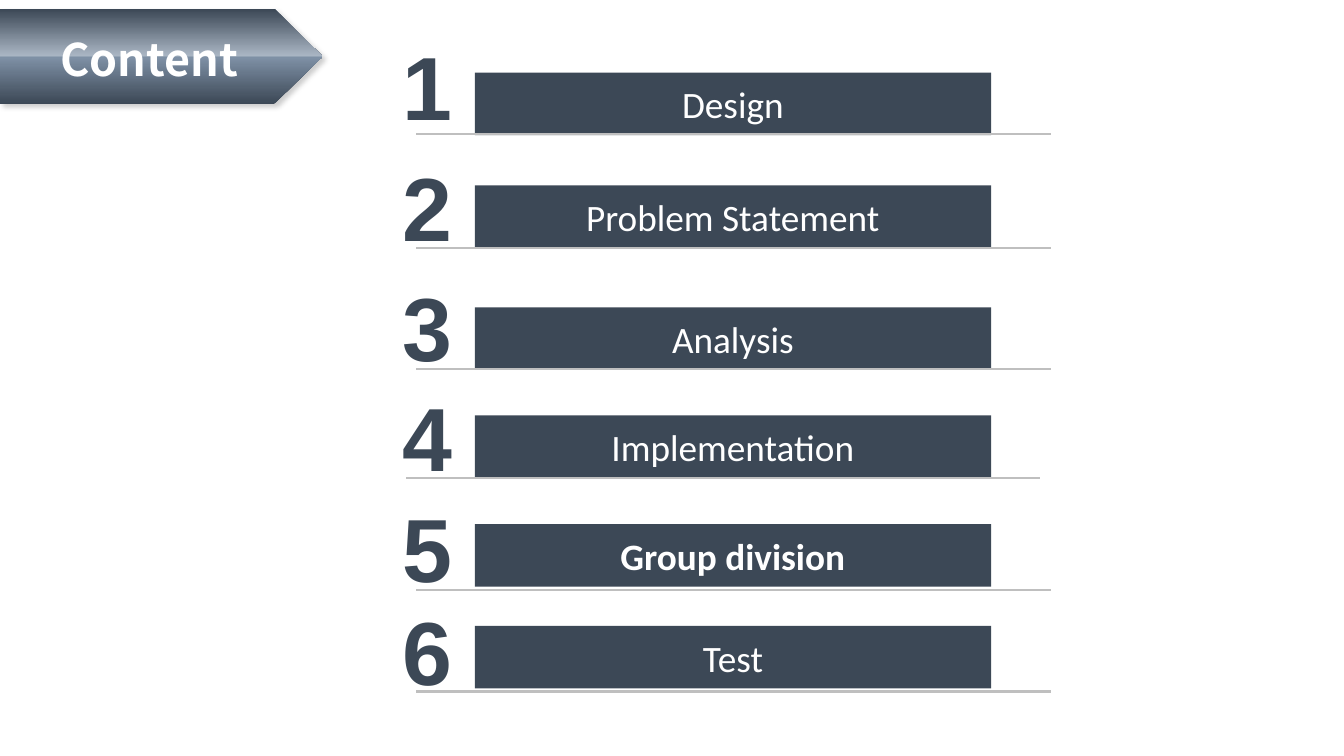
from dataclasses import dataclass

from lxml import etree
from pptx import Presentation
from pptx.dml.color import RGBColor
from pptx.enum.shapes import MSO_CONNECTOR, MSO_SHAPE
from pptx.enum.text import MSO_ANCHOR, MSO_AUTO_SIZE, PP_ALIGN
from pptx.oxml.ns import qn
from pptx.slide import Slide
from pptx.text.text import TextFrame
from pptx.util import Inches, Pt

STRAIGHT = MSO_CONNECTOR.STRAIGHT
RECTANGLE = MSO_SHAPE.RECTANGLE
MIDDLE = MSO_ANCHOR.MIDDLE
FIT_SHAPE = MSO_AUTO_SIZE.SHAPE_TO_FIT_TEXT
NO_FIT = MSO_AUTO_SIZE.NONE
CENTER = PP_ALIGN.CENTER
LEFT = PP_ALIGN.LEFT

SLATE = RGBColor(0x3C, 0x48, 0x56)
STEEL = RGBColor(0x7E, 0x90, 0xA5)
MIST = RGBColor(0xA9, 0xB5, 0xC3)
RULE_GRAY = RGBColor(0xBF, 0xBF, 0xBF)
WHITE = RGBColor(0xFF, 0xFF, 0xFF)
BLACK = RGBColor(0, 0, 0)

BANNER_POINTS = [(0, 0.09), (2.72, 0.09), (3.2, 0.56), (2.72, 1.03), (0, 1.03)]
BANNER_STOPS = [(0, SLATE), (49, STEEL), (51, MIST), (100, SLATE)]
RULE_LENGTH = 6.29


@dataclass
class Topic:
    label: str
    number_top: float
    bar_top: float
    rule_top: float
    rule_left: float = 4.13
    bold: bool = False


TOPICS = [
    Topic("Design", 0.25, 0.72, 1.33),
    Topic("Problem Statement", 1.45, 1.84, 2.46),
    Topic("Analysis", 2.64, 3.05, 3.66),
    Topic("Implementation", 3.73, 4.12, 4.74, rule_left=4.03),
    Topic("Group division", 4.83, 5.2, 5.85, bold=True),
    Topic("Test", 5.85, 6.21, 6.86),
]


def add_text(tf: TextFrame, text: str, font: str, size: float, color: RGBColor,
             bold: bool, align: PP_ALIGN) -> None:
    tf.vertical_anchor = MIDDLE
    p = tf.paragraphs[0]
    p.alignment = align
    r = p.add_run()
    r.text = text
    r.font.name = font
    r.font.size = Pt(size)
    r.font.bold = bold
    r.font.color.rgb = color


def add_color(parent: etree._Element, color: RGBColor) -> etree._Element:
    return etree.SubElement(parent, qn("a:srgbClr"), val=str(color))


def add_banner(s: Slide) -> None:
    points = [(Inches(x), Inches(y)) for x, y in BANNER_POINTS]
    builder = s.shapes.build_freeform(*points[0])
    builder.add_line_segments(points[1:], close=True)
    banner = builder.convert_to_shape()
    banner.line.fill.background()
    banner.fill.gradient()
    banner.fill.gradient_angle = 90
    stops = banner._element.spPr.find(".//" + qn("a:gsLst"))
    for stop in list(stops):
        stops.remove(stop)
    for position, color in BANNER_STOPS:
        add_color(etree.SubElement(stops, qn("a:gs"), pos=str(position * 1000)), color)

    banner.shadow.inherit = False
    effects = banner._element.spPr.find(qn("a:effectLst"))
    shadow = etree.SubElement(effects, qn("a:outerShdw"), blurRad=str(Pt(4)),
                              dist=str(Pt(3)), dir=str(45 * 60000), rotWithShape="0")
    etree.SubElement(add_color(shadow, BLACK), qn("a:alpha"), val="20000")

    title = s.shapes.title
    title._element.addprevious(banner._element)
    title.left, title.top = Inches(0), Inches(0.09)
    title.width, title.height = Inches(3.2), Inches(0.94)
    tf = title.text_frame
    tf.auto_size = NO_FIT
    tf.margin_left = tf.margin_bottom = 0
    tf.margin_top, tf.margin_right = Inches(0.05), Inches(0.24)
    add_text(tf, "Content", "Noto Sans CJK SC", 32, WHITE, True, CENTER)


def add_topic(s: Slide, number: int, topic: Topic) -> None:
    box = s.shapes.add_textbox(Inches(3.89), Inches(topic.number_top),
                               Inches(0.7), Inches(1.18))
    box.text_frame.word_wrap = False
    box.text_frame.auto_size = FIT_SHAPE
    add_text(box.text_frame, str(number), "Arial", 64, SLATE, True, LEFT)

    bar = s.shapes.add_shape(RECTANGLE, Inches(4.71), Inches(topic.bar_top),
                             Inches(5.12), Inches(0.62))
    bar.shadow.inherit = False
    bar.fill.solid()
    bar.fill.fore_color.rgb = SLATE
    bar.line.fill.background()
    add_text(bar.text_frame, topic.label, "Calibri", 26.6, WHITE, topic.bold, CENTER)

    y = Inches(topic.rule_top)
    rule = s.shapes.add_connector(STRAIGHT, Inches(topic.rule_left), y,
                                  Inches(topic.rule_left + RULE_LENGTH), y)
    rule.line.color.rgb = RULE_GRAY
    rule.line.width = Pt(1.5)
    etree.SubElement(rule._element.spPr, qn("a:effectLst"))


def main() -> None:
    prs = Presentation()
    prs.slide_width, prs.slide_height = Inches(13.33), Inches(7.5)
    s = prs.slides.add_slide(prs.slide_layouts[5])
    add_banner(s)
    for number, topic in enumerate(TOPICS, start=1):
        add_topic(s, number, topic)
    prs.save("out.pptx")


if __name__ == "__main__":
    main()
